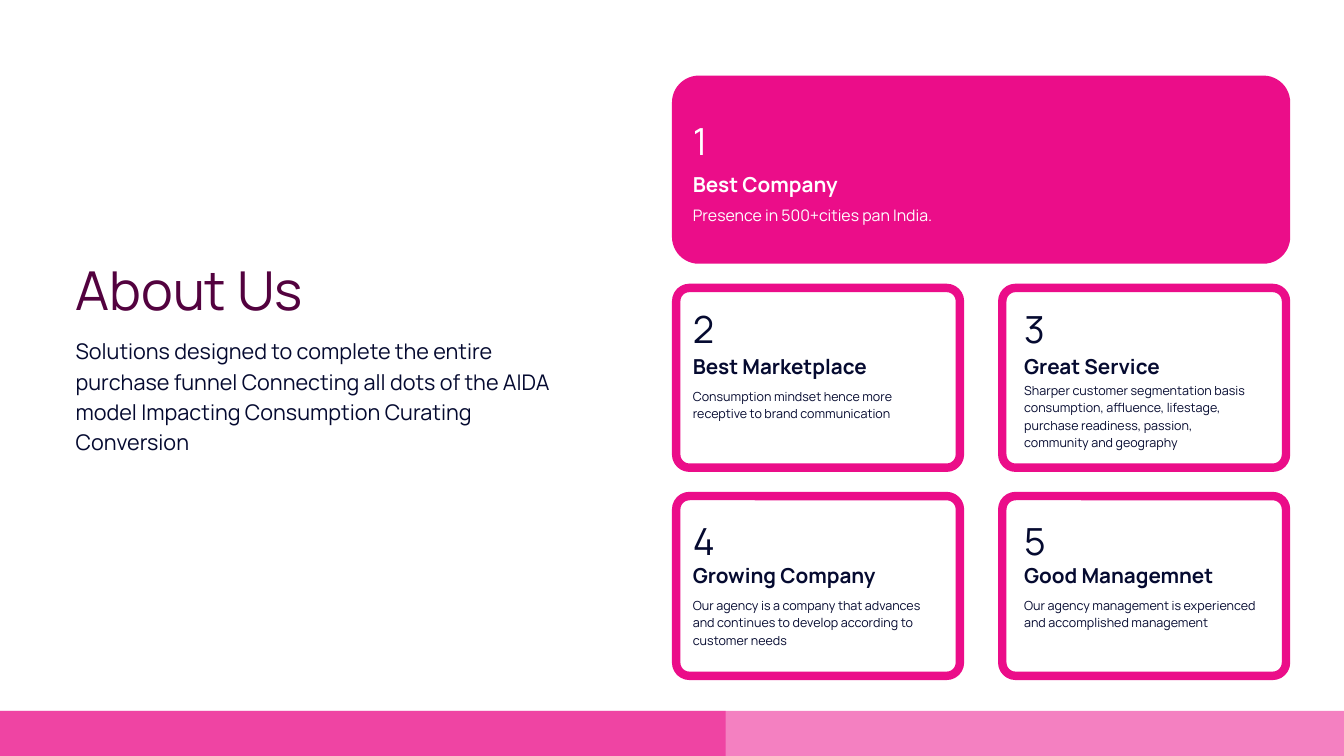
from dataclasses import dataclass

from lxml import etree
from pptx import Presentation
from pptx.dml.color import RGBColor
from pptx.enum import shapes, text
from pptx.oxml.ns import qn
from pptx.util import Pt


@dataclass(frozen=True)
class Style:
    size: float
    leading: float
    color: str
    bold: bool = False


@dataclass(frozen=True)
class Theme:
    font: str = "Manrope"
    pink: str = "EB0D89"
    plum: str = "53023F"
    navy: str = "050A30"
    white: str = "FFFFFF"
    title: tuple = (57.5, 80.5)
    intro: tuple = (23.1, 32.4)
    number: tuple = (40, 56)
    heading: tuple = (22.1, 31)
    lead: tuple = (17, 23.8)
    detail: tuple = (13.4, 18.7)


@dataclass(frozen=True)
class Box:
    left: float
    top: float
    width: float
    height: float


@dataclass(frozen=True)
class Card:
    """A numbered card; the *_top values are measured on the slide."""
    number: str
    heading: str
    detail: str
    col: int
    row: int
    number_top: float
    heading_top: float
    detail_top: float
    featured: bool = False


THEME = Theme()
SLIDE_W, SLIDE_H = 1440, 810
GRID_LEFT, GRID_TOP, GRID_W = 720, 81, 662.4
CARD_W, CARD_H = 313, 201.6
COL_STEP, ROW_STEP = GRID_W - CARD_W, 223
TEXT_X = (742.3, 1097.3)
BORDER = 9
BAND_H, BAND_SPLIT, BAND_ALPHA = 48.2, 777.6, 52

CARDS = [
    Card("1", "Best Company", "Presence in 500+cities pan India.",
         0, 0, 118.8, 180, 217.4, featured=True),
    Card("2", "Best Marketplace",
         "Consumption mindset hence more receptive to brand communication",
         0, 1, 319.7, 374.4, 414),
    Card("3", "Great Service",
         "Sharper customer segmentation basis consumption, affluence, lifestage, "
         "purchase readiness, passion, community and geography",
         1, 1, 319.7, 374.4, 407.5),
    Card("4", "Growing Company",
         "Our agency is a company that advances and continues to develop "
         "according to customer needs",
         0, 2, 547.2, 598.3, 637.9),
    Card("5", "Good Managemnet",
         "Our agency management is experienced and accomplished management",
         1, 2, 547.2, 598.3, 637.9),
]


def place(sp, box: Box) -> None:
    sp.left, sp.top = Pt(box.left), Pt(box.top)
    sp.width, sp.height = Pt(box.width), Pt(box.height)


def write(sp, content: str, style: Style) -> None:
    tf = sp.text_frame
    tf.word_wrap = True
    tf.auto_size = text.MSO_AUTO_SIZE.NONE
    tf.vertical_anchor = text.MSO_ANCHOR.TOP
    tf.margin_left = tf.margin_top = tf.margin_right = tf.margin_bottom = 0
    p = tf.paragraphs[0]
    p.alignment = text.PP_ALIGN.LEFT
    p.line_spacing = Pt(style.leading)
    p.space_before = Pt(0)
    r = p.add_run()
    r.text = content
    r.font.name = THEME.font
    r.font.size = Pt(style.size)
    r.font.bold = style.bold
    r.font.color.rgb = RGBColor.from_string(style.color)


def add_label(s, box: Box, content: str, style: Style) -> None:
    sp = s.shapes.add_textbox(0, 0, 0, 0)
    place(sp, box)
    write(sp, content, style)


def add_block(s, kind, box: Box):
    sp = s.shapes.add_shape(kind, 0, 0, 0, 0)
    place(sp, box)
    sp.shadow.inherit = False
    return sp


def fill_pink(sp) -> None:
    sp.fill.solid()
    sp.fill.fore_color.rgb = RGBColor.from_string(THEME.pink)
    sp.line.fill.background()


def add_card(s, card: Card) -> None:
    left = GRID_LEFT + card.col * COL_STEP
    top = GRID_TOP + card.row * ROW_STEP
    rounded = shapes.MSO_SHAPE.ROUNDED_RECTANGLE
    if card.featured:
        sp = add_block(s, rounded, Box(left, top, GRID_W, CARD_H))
        sp.adjustments[0] = 28.8 / CARD_H
        fill_pink(sp)
    else:
        sp = add_block(s, rounded, Box(left + BORDER / 2, top + BORDER / 2,
                                       CARD_W - BORDER, CARD_H - BORDER))
        sp.adjustments[0] = 14.2 / (CARD_H - BORDER)
        sp.fill.background()
        sp.line.color.rgb = RGBColor.from_string(THEME.pink)
        sp.line.width = Pt(BORDER)

    x = TEXT_X[card.col]
    color = THEME.white if card.featured else THEME.navy
    detail = THEME.lead if card.featured else THEME.detail
    detail_w = 445.7 if card.featured else 251.3
    add_label(s, Box(x, card.number_top, 68, 54), card.number,
              Style(*THEME.number, color))
    add_label(s, Box(x, card.heading_top, 265, 30), card.heading,
              Style(*THEME.heading, color, bold=True))
    add_label(s, Box(x, card.detail_top, detail_w, 54), card.detail,
              Style(*detail, color))


def add_band(s, width: float) -> None:
    sp = add_block(s, shapes.MSO_SHAPE.RECTANGLE,
                   Box(0, SLIDE_H - BAND_H, width, BAND_H))
    fill_pink(sp)
    clr = sp.fill._xPr.find(qn("a:solidFill"))[0]
    etree.SubElement(clr, qn("a:alpha")).set("val", str(BAND_ALPHA * 1000))


def add_intro(s) -> None:
    title, body = s.shapes.title, s.placeholders[1]
    place(title, Box(81, 263.5, 412.6, 77))
    write(title, "About Us", Style(*THEME.title, THEME.plum))

    place(body, Box(81, 357.8, 523.4, 130))
    pPr = body.text_frame.paragraphs[0]._p.get_or_add_pPr()
    pPr.set("marL", "0")
    pPr.set("indent", "0")
    etree.SubElement(pPr, qn("a:buNone"))
    write(body, "Solutions designed to complete the entire purchase funnel "
          "Connecting all dots of the AIDA model Impacting Consumption "
          "Curating Conversion", Style(*THEME.intro, THEME.navy))


def main() -> None:
    prs = Presentation()
    prs.slide_width, prs.slide_height = Pt(SLIDE_W), Pt(SLIDE_H)
    s = prs.slides.add_slide(prs.slide_layouts[1])
    add_intro(s)
    for card in CARDS:
        add_card(s, card)
    for width in (SLIDE_W, BAND_SPLIT):
        add_band(s, width)
    prs.save("out.pptx")


if __name__ == "__main__":
    main()
